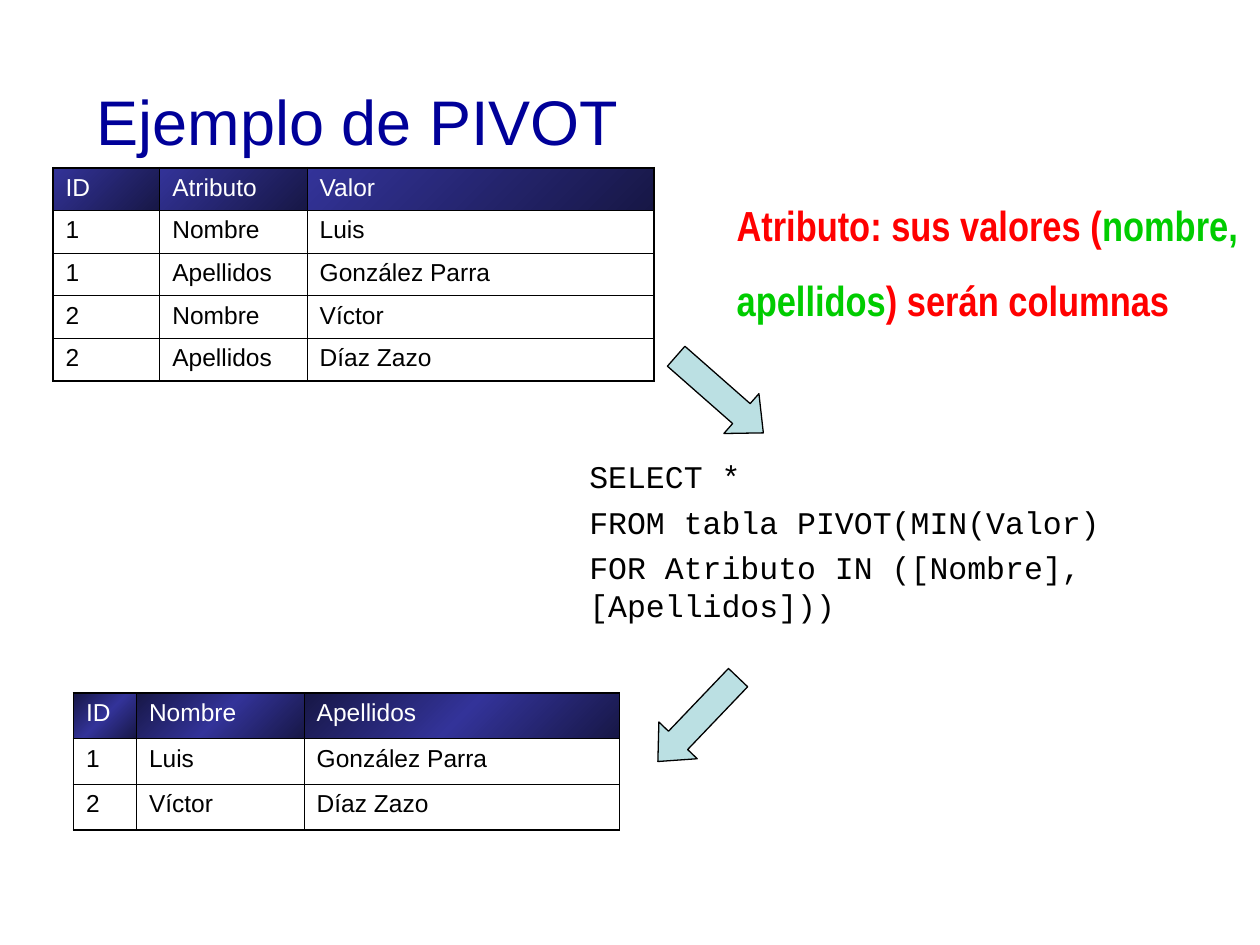
from lxml import etree
from pptx import Presentation
from pptx.dml.color import RGBColor
from pptx.enum.shapes import MSO_SHAPE
from pptx.enum.text import MSO_ANCHOR, PP_ALIGN
from pptx.oxml import parse_xml
from pptx.oxml.ns import qn
from pptx.util import Cm, Pt

RIGHT_ARROW = MSO_SHAPE.RIGHT_ARROW
MIDDLE = MSO_ANCHOR.MIDDLE
LEFT = PP_ALIGN.LEFT
DRAWING_NS = 'xmlns:a="http://schemas.openxmlformats.org/drawingml/2006/main"'


def rgb(hex_color):
    return RGBColor.from_string(hex_color)


def add_run(paragraph, text, size, font_name, color, bold=False):
    run = paragraph.add_run()
    run.text = text
    run.font.size = Pt(size)
    run.font.name = font_name
    run.font.bold = bold
    run.font.color.rgb = rgb(color)
    return run


prs = Presentation()
prs.slide_width = Cm(25.4)
prs.slide_height = Cm(19.05)
slide = prs.slides.add_slide(prs.slide_layouts[5])

title = slide.shapes.title
title.left, title.top, title.width, title.height = Cm(1.7), Cm(0.84), Cm(21.39), Cm(3.18)
title.text_frame.vertical_anchor = MIDDLE
heading = title.text_frame.paragraphs[0]
heading.alignment = LEFT
add_run(heading, "Ejemplo de PIVOT", 36, "Arial", "000099")

query = slide.shapes.add_textbox(Cm(10.36), Cm(9.09), Cm(13.69), Cm(3.63)).text_frame
query.word_wrap = True
query_lines = ["SELECT *", "FROM tabla PIVOT(MIN(Valor)", "FOR Atributo IN ([Nombre],[Apellidos]))"]
for index, line in enumerate(query_lines):
    paragraph = query.add_paragraph() if index else query.paragraphs[0]
    paragraph.level = 1
    properties = paragraph._p.get_or_add_pPr()
    properties.set("marL", str(Cm(1.27)))
    properties.set("indent", "0")
    if index:
        paragraph.space_before = Pt(4.5)
    run = add_run(paragraph, line, 18, "Courier New", "000000")
    text_shadow = parse_xml(
        f'<a:effectLst {DRAWING_NS}><a:outerShdw dist="17780" dir="2700000">'
        '<a:srgbClr val="C0C0C0"/></a:outerShdw></a:effectLst>')
    run._r.get_or_add_rPr().find(qn("a:latin")).addprevious(text_shadow)

source_rows = [
    ["ID", "Atributo", "Valor"],
    ["1", "Nombre", "Luis"],
    ["1", "Apellidos", "González Parra"],
    ["2", "Nombre", "Víctor"],
    ["2", "Apellidos", "Díaz Zazo"],
]
pivoted_rows = [
    ["ID", "Nombre", "Apellidos"],
    ["1", "Luis", "González Parra"],
    ["2", "Víctor", "Díaz Zazo"],
]
source_gradient = [(0, "171746"), (100, "333399")]
pivoted_gradient = [(0, "171746"), (50, "333399"), (100, "171746")]
tables = [
    (source_rows, 1.07, 3.38, [2.15, 2.97, 6.99], 0.86, source_gradient),
    (pivoted_rows, 1.48, 13.97, [1.27, 3.38, 6.36], 0.92, pivoted_gradient),
]
for rows, left, top, widths, row_height, gradient in tables:
    table = slide.shapes.add_table(
        len(rows), len(widths), Cm(left), Cm(top),
        Cm(sum(widths)), Cm(row_height * len(rows))).table
    table.first_row = False
    table.horz_banding = False
    for column, width in zip(table.columns, widths):
        column.width = Cm(width)
    for r, row in enumerate(rows):
        table.rows[r].height = Cm(row_height)
        for c, text in enumerate(row):
            cell = table.cell(r, c)
            add_run(cell.text_frame.paragraphs[0], text, 14, "Arial", "000000" if r else "FFFFFF")
            cell_properties = cell._tc.get_or_add_tcPr()
            outer_sides = {
                "lnL": c == 0, "lnR": c == len(widths) - 1,
                "lnT": r == 0, "lnB": r == len(rows) - 1,
            }
            for side, outer in outer_sides.items():
                border = etree.SubElement(cell_properties, qn(f"a:{side}"), w=str(Pt(1.08 if outer else 0.45)))
                border_fill = etree.SubElement(border, qn("a:solidFill"))
                etree.SubElement(border_fill, qn("a:srgbClr"), val="000000")
            if r:
                cell.fill.background()
            else:
                stops = "".join(
                    f'<a:gs pos="{position * 1000}"><a:srgbClr val="{color}"/></a:gs>'
                    for position, color in gradient)
                cell_properties.append(parse_xml(
                    f'<a:gradFill {DRAWING_NS}><a:gsLst>{stops}</a:gsLst>'
                    '<a:lin ang="13500000" scaled="1"/></a:gradFill>'))

for left, top, rotation in [(13.34, 7.42, 41.3), (12.9, 13.97, 133.7)]:
    arrow = slide.shapes.add_shape(RIGHT_ARROW, Cm(left), Cm(top), Cm(2.34), Cm(1.07))
    arrow.rotation = rotation
    arrow.adjustments[0] = 0.5
    arrow.adjustments[1] = 0.55
    arrow.shadow.inherit = False
    arrow.fill.solid()
    arrow.fill.fore_color.rgb = rgb("BBE0E3")
    arrow.line.color.rgb = rgb("000000")
    arrow.line.width = Pt(0.75)

remark = slide.shapes.add_textbox(Cm(14.6), Cm(3.38), Cm(10.8), Cm(3.3)).text_frame
remark.word_wrap = True
remark_line = remark.paragraphs[0]
remark_line.line_spacing = 1.5
for text, color in [
    ("Atributo: sus valores (", "FF0000"),
    ("nombre, apellidos", "00CC00"),
    (") serán columnas", "FF0000"),
]:
    add_run(remark_line, text, 24, "Arial Narrow", color, bold=True)

prs.save("out.pptx")
